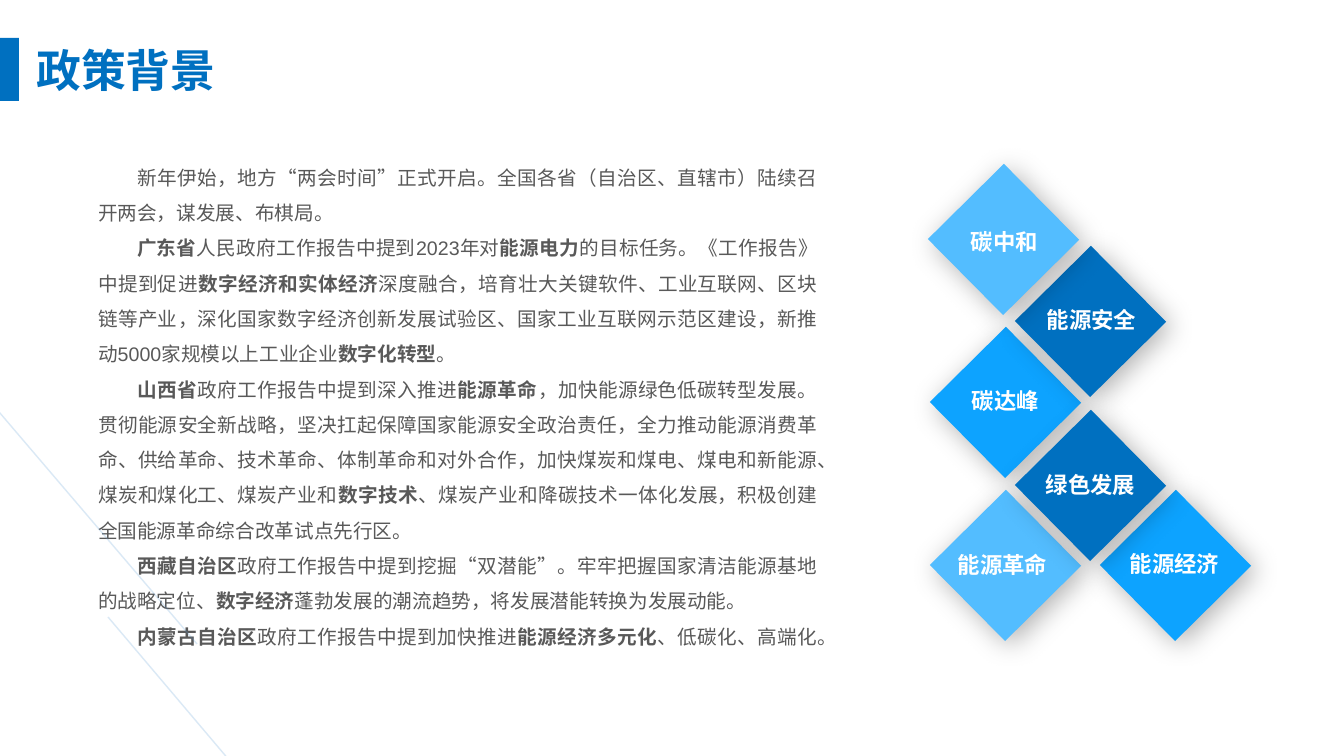
import pptx
import pptx.util
import pptx.dml.color
import pptx.enum.lang
import pptx.enum.shapes
import pptx.enum.text
import pptx.oxml
import pptx.oxml.ns
import lxml.etree

PX = 914400 / 100.8  # EMU in one px
FONT = "Arial"
COLORS = {
    "white": "FFFFFF",
    "text": "595959",
    "deep": "0070C0",
    "bright": "0DA3FF",
    "light": "53BDFF",
    "line": "5B9BD5",
    "shadow": "000000",
}
ALIGN = pptx.enum.text.PP_ALIGN
ANCHOR = pptx.enum.text.MSO_ANCHOR
RECTANGLE = pptx.enum.shapes.MSO_SHAPE.RECTANGLE

# Passages between double asterisks are bold
POLICIES = [
    "新年伊始，地方“两会时间”正式开启。全国各省（自治区、直辖市）陆续召开两会，谋发展、布棋局。",
    "**广东省**人民政府工作报告中提到2023年对**能源电力**的目标任务。《工作报告》中提到促进"
    "**数字经济和实体经济**深度融合，培育壮大关键软件、工业互联网、区块链等产业，"
    "深化国家数字经济创新发展试验区、国家工业互联网示范区建设，"
    "新推动5000家规模以上工业企业**数字化转型**。",
    "**山西省**政府工作报告中提到深入推进**能源革命**，加快能源绿色低碳转型发展。"
    "贯彻能源安全新战略，坚决扛起保障国家能源安全政治责任，全力推动能源消费革命、供给革命、"
    "技术革命、体制革命和对外合作，加快煤炭和煤电、煤电和新能源、煤炭和煤化工、"
    "煤炭产业和**数字技术**、煤炭产业和降碳技术一体化发展，"
    "积极创建全国能源革命综合改革试点先行区。",
    "**西藏自治区**政府工作报告中提到挖掘“双潜能”。牢牢把握国家清洁能源基地的战略定位、"
    "**数字经济**蓬勃发展的潮流趋势，将发展潜能转换为发展动能。",
    "**内蒙古自治区**政府工作报告中提到加快推进**能源经济多元化**、低碳化、高端化。",
]

# Label, diamond left and top, label left and top, colour
TOPICS = [
    ("碳达峰", 952, 349, 920, 382, "bright"),
    ("能源安全", 1037, 268, 1006, 301, "deep"),
    ("碳中和", 950, 186, 919, 223, "light"),
    ("能源革命", 952, 512, 917, 546, "light"),
    ("能源经济", 1122, 512, 1089, 545, "bright"),
    ("绿色发展", 1037, 432, 1005, 466, "deep"),
]


def px(length):
    return pptx.util.Emu(round(length * PX))


def rgb(name):
    return pptx.dml.color.RGBColor.from_string(COLORS[name])


def place(shape, left, top, width, height):
    shape.left, shape.top = px(left), px(top)
    shape.width, shape.height = px(width), px(height)


def write_text(shape, paragraphs, size, color, bold=False, align=ALIGN.CENTER,
               anchor=ANCHOR.TOP, line_spacing=1.0, first_indent=0):
    frame = shape.text_frame
    frame.word_wrap = True
    frame.auto_size = pptx.enum.text.MSO_AUTO_SIZE.NONE
    frame.vertical_anchor = anchor
    for number, text in enumerate(paragraphs):
        paragraph = frame.add_paragraph() if number else frame.paragraphs[0]
        paragraph.alignment = align
        paragraph.line_spacing = line_spacing
        paragraph.space_before = pptx.util.Pt(0)
        properties = paragraph._p.get_or_add_pPr()
        properties.set("marL", "0")
        properties.set("indent", str(px(first_indent)))
        lxml.etree.SubElement(properties, pptx.oxml.ns.qn("a:buNone"))
        for position, part in enumerate(text.split("**")):
            if not part:
                continue
            run = paragraph.add_run()
            run.text = part
            run.font.name = FONT
            run.font.size = pptx.util.Pt(size)
            run.font.bold = bold or position % 2 == 1
            run.font.color.rgb = rgb(color)
            run.font.language_id = pptx.enum.lang.MSO_LANGUAGE_ID.SIMPLIFIED_CHINESE


def add_block(slide, left, top, width, height, color):
    block = slide.shapes.add_shape(
        RECTANGLE, px(left), px(top), px(width), px(height))
    block.shadow.inherit = False
    block.fill.solid()
    block.fill.fore_color.rgb = rgb(color)
    block.line.fill.background()
    return block


def add_diamond(slide, left, top, color):
    diamond = add_block(slide, left, top, 107, 107, color)
    diamond.rotation = 45.3
    effects = diamond._element.spPr.find(pptx.oxml.ns.qn("a:effectLst"))
    effects.append(pptx.oxml.parse_xml(
        f'<a:outerShdw {pptx.oxml.ns.nsdecls("a")} blurRad="{pptx.util.Pt(20)}" '
        f'dist="{pptx.util.Pt(5)}" dir="2700000" algn="tl" rotWithShape="0">'
        f'<a:srgbClr val="{COLORS["shadow"]}"><a:alpha val="30000"/></a:srgbClr>'
        '</a:outerShdw>'))


def add_label(slide, text, left, top):
    label = slide.shapes.add_textbox(px(left), px(top), px(171), px(37))
    write_text(label, [text], size=16, color="white", bold=True)


def add_faint_line(slide, x1, y1, x2, y2):
    line = slide.shapes.add_connector(
        pptx.enum.shapes.MSO_CONNECTOR.STRAIGHT, px(x1), px(y1), px(x2), px(y2))
    line.line.width = pptx.util.Pt(1)
    line.line.color.rgb = rgb("line")
    properties = line._element.spPr
    color = properties.find(".//" + pptx.oxml.ns.qn("a:srgbClr"))
    lxml.etree.SubElement(color, pptx.oxml.ns.qn("a:alpha"), val="21000")
    lxml.etree.SubElement(properties, pptx.oxml.ns.qn("a:effectLst"))


def main():
    presentation = pptx.Presentation()
    presentation.slide_width, presentation.slide_height = px(1344), px(756)
    slide = presentation.slides.add_slide(presentation.slide_layouts[1])

    # Title with its side bar
    add_block(slide, 0, 38, 19, 63, "deep")
    title = slide.shapes.title
    place(title, 2, 37, 248, 65)
    write_text(title, ["政策背景"], size=32, color="deep", bold=True,
               anchor=ANCHOR.MIDDLE)

    # Policy paragraphs
    body = slide.placeholders[1]
    place(body, 88, 149, 740, 505)
    write_text(body, POLICIES, size=14, color="text", align=ALIGN.JUSTIFY,
               line_spacing=1.5, first_indent=39)

    # Topic diamonds, then their labels
    for _, left, top, _, _, color in TOPICS:
        add_diamond(slide, left, top, color)
    for text, _, _, left, top, _ in TOPICS:
        add_label(slide, text, left, top)

    # Diagonal lines at the lower left
    add_faint_line(slide, 108, 617, 285, 826)
    add_faint_line(slide, -268, 99, 197, 644)

    presentation.save("out.pptx")


if __name__ == "__main__":
    main()
